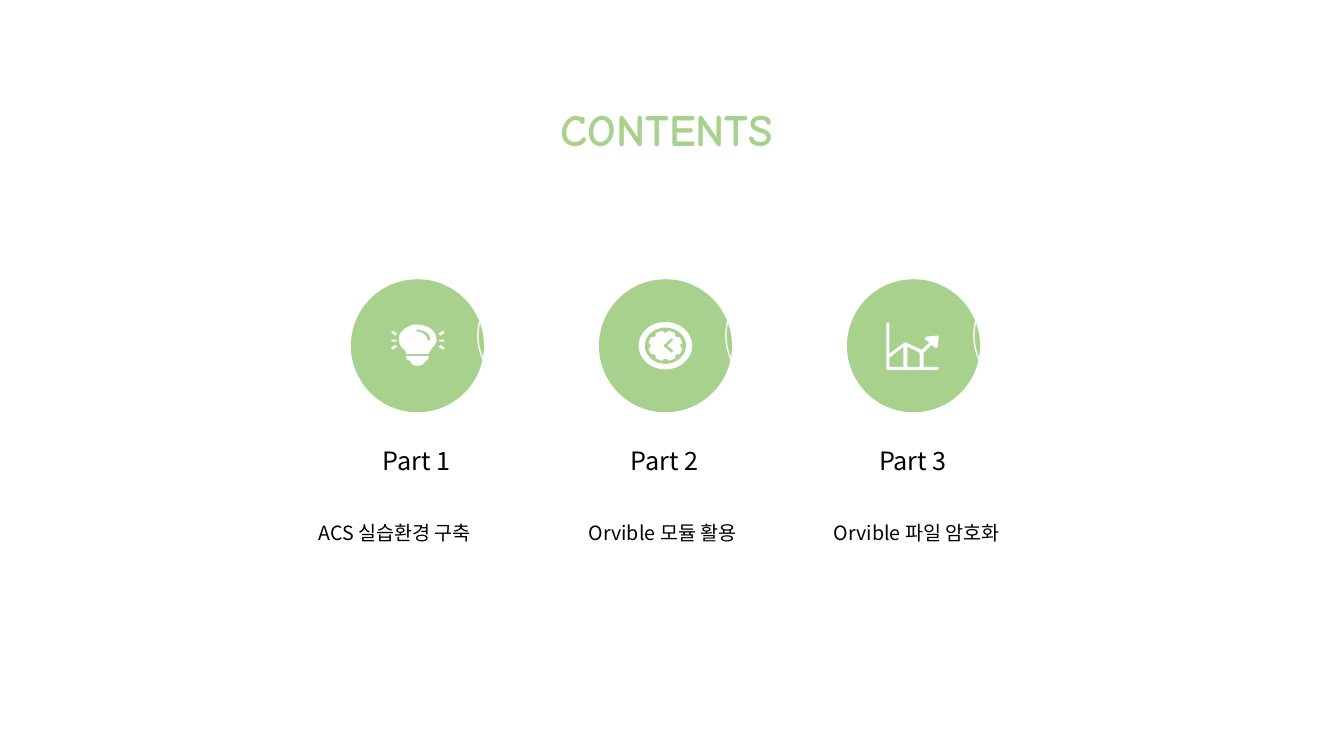
from math import cos, radians, sin

from lxml.etree import SubElement
from pptx import Presentation
from pptx.dml.color import RGBColor
from pptx.enum.shapes import MSO_SHAPE as Shape
from pptx.enum.text import MSO_AUTO_SIZE as AutoSize, PP_ALIGN as Align
from pptx.oxml.ns import qn
from pptx.util import Pt

PX = 9144  # EMU per px, 100 px to the inch
GREEN = RGBColor(0xA9, 0xD1, 0x8E)
WHITE = RGBColor(0xFF, 0xFF, 0xFF)
BLACK = RGBColor(0x00, 0x00, 0x00)
BODY_FONT = "Noto Sans CJK KR"
TITLE_FONT = "Comic Neue"

presentation = Presentation()
presentation.slide_width = 1333 * PX
presentation.slide_height = 750 * PX
slide = presentation.slides.add_slide(presentation.slide_layouts[6])


def add_text(text, left, top, width, height, size, font=BODY_FONT, color=BLACK,
             bold=False, align=Align.LEFT, wrap=True):
    box = slide.shapes.add_textbox(left * PX, top * PX, width * PX, height * PX)
    frame = box.text_frame
    frame.word_wrap = wrap
    frame.auto_size = AutoSize.SHAPE_TO_FIT_TEXT
    paragraph = frame.paragraphs[0]
    paragraph.alignment = align
    run = paragraph.add_run()
    run.text = text
    run.font.name = font
    run.font.size = Pt(size)
    run.font.bold = bold
    run.font.color.rgb = color
    SubElement(run.font._element, qn("a:ea")).set("typeface", font)


def add_outline(*contours):
    """Draw one white shape; a step of six numbers is a cubic curve."""
    builder = None
    for contour in contours:
        points = [contour[0]]
        for step in contour[1:]:
            if len(step) == 2:
                points.append(step)
                continue
            x0, y0 = points[-1]
            x1, y1, x2, y2, x3, y3 = step
            for t in (k / 8 for k in range(1, 9)):
                a, b, c, d = (1 - t) ** 3, 3 * t * (1 - t) ** 2, 3 * t * t * (1 - t), t ** 3
                points.append((a * x0 + b * x1 + c * x2 + d * x3,
                               a * y0 + b * y1 + c * y2 + d * y3))
        points = [(x * PX, y * PX) for x, y in points]
        if builder is None:
            builder = slide.shapes.build_freeform(*points[0])
        else:
            builder.move_to(*points[0])
        builder.add_line_segments(points[1:], close=True)
    shape = builder.convert_to_shape()
    shape.shadow.inherit = False
    shape.fill.solid()
    shape.fill.fore_color.rgb = WHITE
    shape.line.fill.background()


# Green circles with their part labels
PITCH = 246
for part in range(3):
    circle = slide.shapes.add_shape(
        Shape.OVAL, (348 + part * PITCH) * PX, 277 * PX, 132 * PX, 132 * PX)
    circle.shadow.inherit = False
    circle.fill.solid()
    circle.fill.fore_color.rgb = GREEN
    circle.line.fill.background()
    add_text(f"Part {part + 1}", 370 + part * PITCH, 437, 88, 40, 18, wrap=False)

# Light bulb: base, glass with a highlight, and three rays on each side
add_outline([(403, 353), (403, 355), (403, 356, 405, 358, 407, 358),
             (407, 361, 410, 363, 414, 363), (418, 363, 421, 361, 422, 358),
             (424, 358, 425, 356, 425, 355), (425, 353)])
add_outline(
    [(414, 327), (421, 327, 427, 331, 427, 337), (427, 337, 426, 338, 425, 338),
     (424, 338, 424, 337, 424, 337), (424, 333, 419, 329, 414, 329),
     (413, 329, 413, 329, 413, 328), (413, 327, 413, 327, 414, 327)],
    [(414, 322), (413, 322, 412, 322, 410, 322), (403, 324, 398, 328, 396, 333),
     (395, 338, 396, 343, 400, 346), (402, 348, 403, 349, 403, 351), (425, 351),
     (426, 349, 427, 348, 428, 346), (431, 343, 433, 340, 433, 337),
     (433, 328, 424, 322, 414, 322)])
middle_ray = [(389, 337), (388, 338), (389, 339), (392, 339), (394, 338), (392, 337)]
upper_ray = [(390, 328), (389, 329), (388, 330), (389, 331), (391, 332),
             (392, 333), (393, 332), (394, 331), (391, 329)]
lower_ray = [(x, 675 - y) for x, y in upper_ray]
for ray in (middle_ray, upper_ray, lower_ray):
    add_outline(ray)
    add_outline([(829 - x, y) for x, y in ray])

# Clock: rim, then a face notched at every eighth of a turn, with cut-out hands
CLOCK_X, CLOCK_Y = 660, 343
rim = [[(CLOCK_X + rx * cos(radians(angle)), CLOCK_Y + ry * sin(radians(angle)))
        for angle in range(0, 360, 5)] for rx, ry in ((26.5, 23.5), (20.5, 18))]
add_outline(*rim)
face = []
for angle in range(0, 360, 5):
    reach = 0.87 if angle % 45 in (0, 5, 40) else 1
    face.append((CLOCK_X + 17 * reach * cos(radians(angle)),
                 CLOCK_Y + 15 * reach * sin(radians(angle))))
hands = [(666, 336), (667, 336), (668, 337), (667, 338), (662, 343), (667, 347),
         (668, 348, 667, 350, 666, 350), (665, 349), (659, 344),
         (658, 343, 658, 342, 659, 342), (665, 336)]
add_outline(face, hands)

# Growth chart: axes and rising arrow, with two areas cut out
add_outline(
    [(896, 344), (896, 364), (882, 364), (882, 355)],
    [(900, 344), (912, 350), (912, 364), (900, 364)],
    [(881, 320), (880, 320, 879, 320, 879, 321), (879, 365),
     (879, 366, 880, 367, 881, 367), (930, 367), (930, 367, 931, 366, 931, 365),
     (931, 365, 930, 364, 930, 364), (916, 364), (916, 350), (924, 342), (927, 345),
     (928, 345), (929, 345, 930, 345, 930, 344), (931, 334),
     (931, 333, 931, 333, 930, 333), (929, 333), (919, 334),
     (918, 334, 917, 336, 918, 337), (922, 340), (914, 347), (899, 340), (897, 340),
     (882, 351), (882, 321), (882, 320, 882, 320, 881, 320)])

add_text("ACS 실습환경 구축", 306, 512, 217, 34, 14)
add_text("Orvible 모듈 활용", 574, 512, 177, 34, 14, wrap=False)
add_text("Orvible 파일 암호화", 817, 512, 229, 34, 14)
add_text("CONTENTS", 514, 96, 295, 111, 32, font=TITLE_FONT, color=GREEN,
         bold=True, align=Align.CENTER)

# White rings that cut the right edge of each circle
for part in range(3):
    ring = slide.shapes.add_shape(
        Shape.OVAL, (474 + part * PITCH) * PX, 276 * PX, 114 * PX, 114 * PX)
    ring.shadow.inherit = False
    ring.fill.background()
    ring.line.color.rgb = WHITE
    ring.line.width = Pt(1)

presentation.save("out.pptx")
